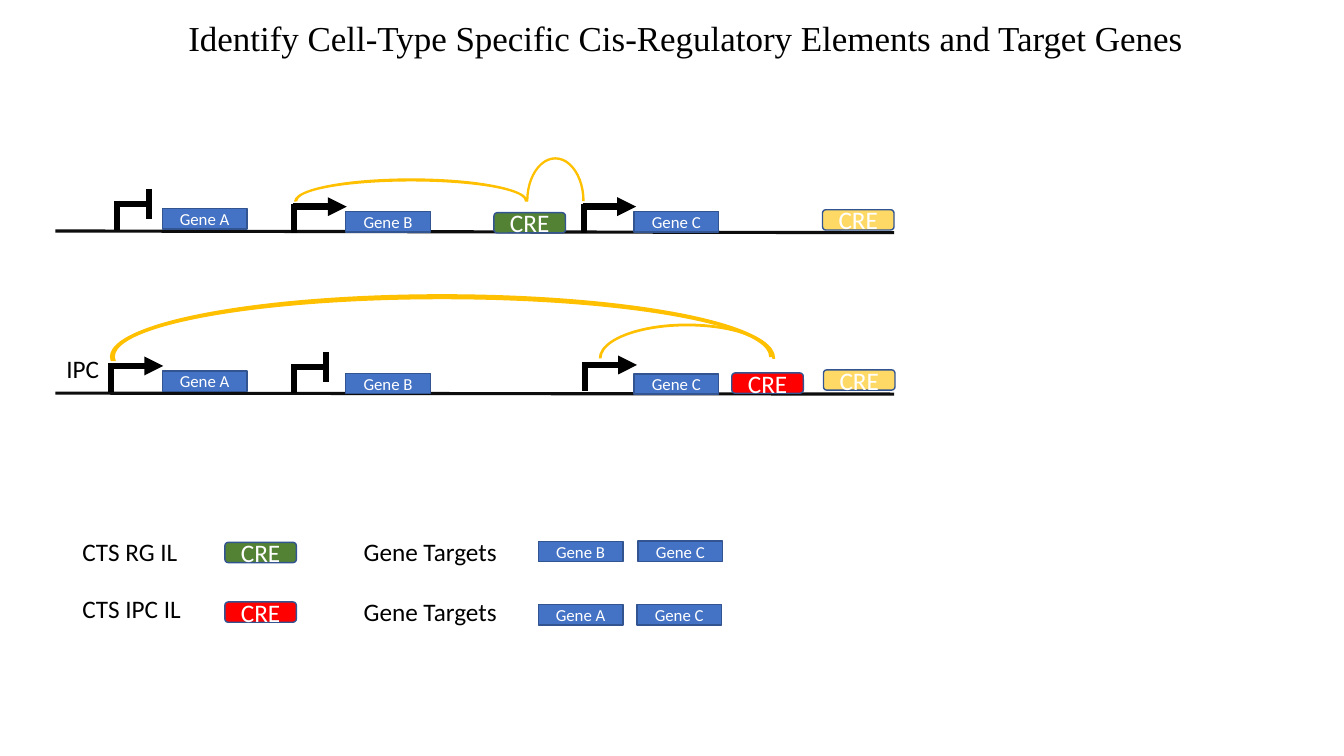
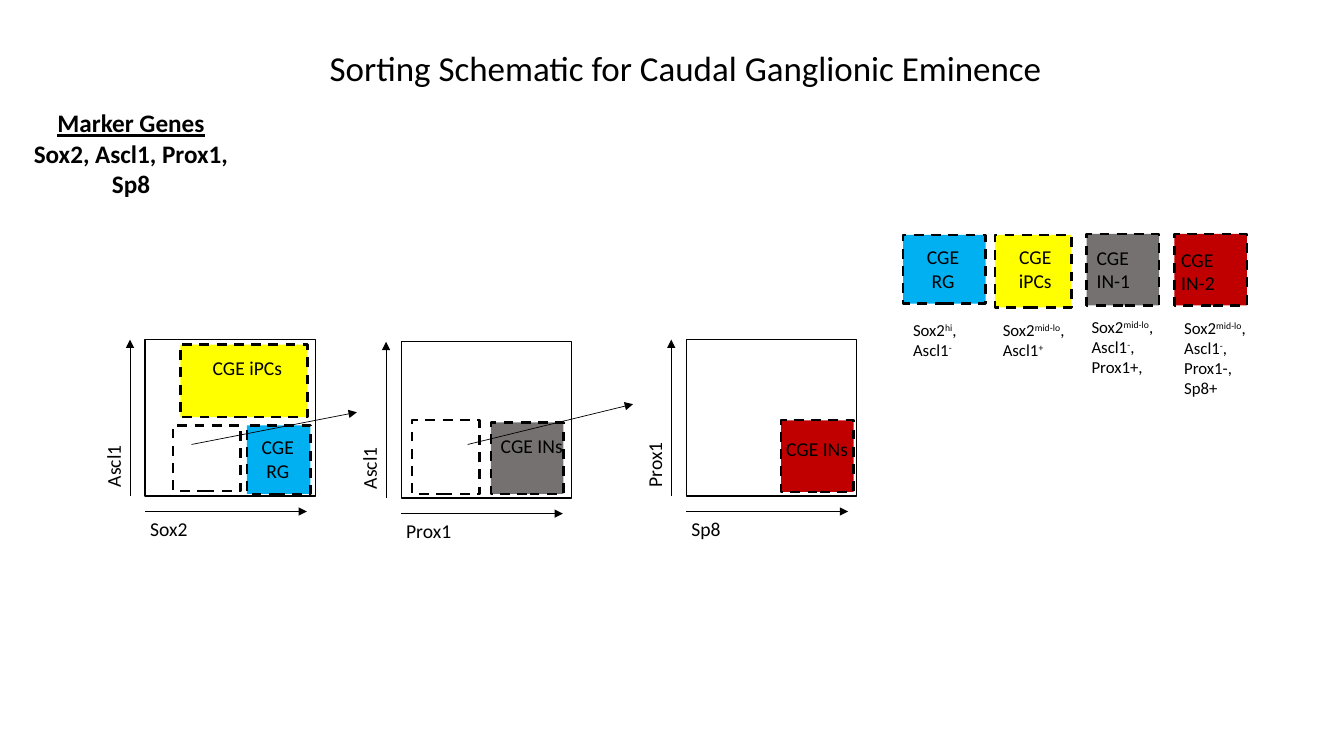
from lxml import etree
from pptx import Presentation
from pptx.dml.color import RGBColor
from pptx.enum import dml, shapes, text
from pptx.oxml.ns import qn
from pptx.util import Pt

COLORS = {
    "black": "000000", "strand": "0D0D0D", "white": "FFFFFF",
    "gene": "4472C4", "edge": "325491", "loop": "FFC000",
    "green": "548235", "bright red": "FF0000", "pale gold": "FFD966",
    "blue": "00B0F0", "yellow": "FFFF00", "grey": "767171", "dark red": "C00000",
}
RECT = shapes.MSO_SHAPE.RECTANGLE
ROUND = shapes.MSO_SHAPE.ROUNDED_RECTANGLE
CENTER, LEFT = text.PP_ALIGN.CENTER, text.PP_ALIGN.LEFT


def add_box(slide, at, words="", size=18, kind=None, fill=None, edge=None,
            weight=1, dash=False, ink="black", align=LEFT):
    """Add a shape, or a text box when kind is None; ^marks^ enclose superscripts."""
    place = [Pt(n) for n in at]
    if kind is None:
        box = slide.shapes.add_textbox(*place)
    else:
        box = slide.shapes.add_shape(kind, *place)
        box.shadow.inherit = False
        box.text_frame.vertical_anchor = text.MSO_ANCHOR.MIDDLE
        if fill:
            box.fill.solid()
            box.fill.fore_color.rgb = RGBColor.from_string(COLORS[fill])
        else:
            box.fill.background()
        if edge:
            box.line.color.rgb = RGBColor.from_string(COLORS[edge])
            box.line.width = Pt(weight)
            if dash:
                box.line.dash_style = dml.MSO_LINE.DASH
        else:
            box.line.fill.background()
    frame = box.text_frame
    frame.word_wrap = True
    for number, row in enumerate(words.split("\n") if words else []):
        paragraph = frame.add_paragraph() if number else frame.paragraphs[0]
        paragraph.alignment = align
        paragraph.font.name = "Calibri"
        paragraph.font.size = Pt(size)
        paragraph.font.color.rgb = RGBColor.from_string(COLORS[ink])
        for part, piece in enumerate(row.split("^")):
            if piece:
                run = paragraph.add_run()
                run.text = piece
                if part % 2:
                    run._r.get_or_add_rPr().set("baseline", "30000")
    return box


def add_line(slide, x1, y1, x2, y2, weight, color="black", arrow=False):
    line = slide.shapes.add_connector(
        shapes.MSO_CONNECTOR.STRAIGHT, Pt(x1), Pt(y1), Pt(x2), Pt(y2))
    line.line.color.rgb = RGBColor.from_string(COLORS[color])
    line.line.width = Pt(weight)
    if arrow:
        etree.SubElement(line.line._get_or_add_ln(), qn("a:tailEnd"), type="triangle")
    etree.SubElement(line._element.spPr, qn("a:effectLst"))


deck = Presentation()
deck.slide_width, deck.slide_height = Pt(960), Pt(540)

slides = []
for heading, top, face in [
    ("Identify Cell-Type Specific Cis-Regulatory Elements and Target Genes",
     7.9, "Times New Roman"),
    ("Sorting Schematic for Caudal Ganglionic Eminence", 29.5, "Calibri"),
]:
    slide = deck.slides.add_slide(deck.slide_layouts[5])
    title = slide.shapes.title
    title.left, title.top, title.width, title.height = Pt(43.9), Pt(top), Pt(891.4), Pt(37.4)
    title.text_frame.text = heading
    title.text_frame.auto_size = text.MSO_AUTO_SIZE.NONE
    title.text_frame.vertical_anchor = text.MSO_ANCHOR.TOP
    paragraph = title.text_frame.paragraphs[0]
    paragraph.alignment = CENTER
    paragraph.font.name = face
    paragraph.font.size = Pt(25)
    paragraph.font.color.rgb = RGBColor.from_string(COLORS["black"])
    slides.append(slide)
regulation, sorting = slides

# Regulation: strands, genes, elements and the loops between them
for y1, y2 in [(165, 166.2), (280.8, 281.5)]:
    add_line(regulation, 39.6, y1, 638.6, y2, 2.25, "strand")

for x, top, active in [
    (83.5, 143.3, False), (210.2, 145.4, True), (416.9, 145.4, True),
    (79.2, 259.2, True), (210.2, 259.9, False), (417.6, 258.5, True),
]:
    add_line(regulation, x, top, x, top + 21, 4.25)
    if active:
        add_line(regulation, x - 0.7, top + 2.2, x + 37.5, top + 2.2, 4.5, arrow=True)
    else:
        add_line(regulation, x - 1.4, top + 2.2, x + 23, top + 2.2, 4.25)
        add_line(regulation, x + 23, top - 8.3, x + 23, top + 12.8, 4.25)

for letter, x, y in [
    ("A", 115.9, 149), ("B", 247, 151.2), ("C", 452.9, 151.2),
    ("A", 115.9, 265), ("B", 247, 266.8), ("C", 452.9, 267.1),
    ("B", 384.5, 386.8), ("C", 455.8, 386.6),
    ("A", 384.5, 432), ("C", 455, 432),
]:
    add_box(regulation, (x, y, 60.5, 14.5), f"Gene {letter}", 12, RECT, "gene", "edge",
            ink="white", align=CENTER)

for color, x, y in [
    ("green", 352.8, 151.9), ("pale gold", 587.5, 149.8),
    ("bright red", 522.7, 266.4), ("pale gold", 588.2, 264.2),
    ("green", 160.6, 387.4), ("bright red", 160.6, 430),
]:
    add_box(regulation, (x, y, 51.1, 14.5), "CRE", 18, ROUND, color, "edge",
            ink="white", align=CENTER)

for at, adjustments in [
    ((210.2, 127.4, 167, 32.4), (107.85, 0.16, 0.07)),
    ((375.8, 112.3, 41.8, 62.6), (108, 0.22, 0.04)),
    ((78.5, 210.2, 474.5, 89.3), (107.54, 0.03, 0.04)),
    ((427.7, 231.1, 126, 49.7), (108, 0.22, 0.04)),
]:
    loop = add_box(regulation, at, kind=shapes.MSO_SHAPE.BLOCK_ARC, fill="loop")
    for index, value in enumerate(adjustments):
        loop.adjustments[index] = value

for words, x, y, width in [
    ("IPC", 40.3, 249.1, 44.6),
    ("CTS RG IL", 51.8, 379.4, 94.3), ("Gene Targets", 252.7, 379.4, 119.5),
    ("CTS IPC IL", 51.8, 420.5, 94.3), ("Gene Targets", 252.7, 422.6, 119.5),
]:
    add_box(regulation, (x, y, width, 29), words)

# Sorting: three plots with gates, then the key to the populations
markers = add_box(sorting, (14.4, 73.4, 158.4, 72.7),
                  "Marker Genes\nSox2, Ascl1, Prox1, Sp8", align=CENTER)
for paragraph in markers.text_frame.paragraphs:
    paragraph.font.bold = True
markers.text_frame.paragraphs[0].font.underline = True

PLOT_W, PLOT_H = 121.7, 111.6
for x, y, x_marker, y_marker in [
    (103.7, 242.6, "Sox2", "Ascl1"),
    (286.6, 244.1, "Prox1", "Ascl1"),
    (490.3, 242.6, "Sp8", "Prox1"),
]:
    x_axis = y + PLOT_H + 11.2
    add_box(sorting, (x, y, PLOT_W, PLOT_H), kind=RECT, edge="black")
    add_line(sorting, x - 10.8, y + PLOT_H, x - 10.8, y, 0.5, arrow=True)
    add_line(sorting, x, x_axis, x + 115.5, x_axis, 0.5, arrow=True)
    add_box(sorting, (x - 3.6, x_axis, 75.6, 24.5), x_marker, 14)
    y_label = add_box(sorting, (x - 60.5, y + 62.4, 75.6, 24.5), y_marker, 14)
    y_label.rotation = 270

for gate, color, label, label_at, align in [
    ((123.8, 303.8, 48.2, 46.8), None, "", None, None),
    ((294.5, 300.2, 48.2, 52.6), None, "", None, None),
    ((128.9, 246.2, 90.7, 51.8), "yellow", "CGE iPCs", (129.6, 250.6, 94.3, 41), CENTER),
    ((176.4, 303.8, 45.4, 49), "blue", "CGE\nRG", (175, 307.4, 46.8, 41), CENTER),
    ((350.6, 301.7, 51.8, 51.1), "grey", "CGE INs", (350.6, 306.7, 59, 24.5), LEFT),
    ((558, 300.2, 51.8, 51.1), "dark red", "CGE INs", (554.4, 308.9, 59, 24.5), LEFT),
    ((645.1, 167.8, 59, 49), "blue", "CGE\nRG", (643, 171.4, 61.2, 41), CENTER),
    ((710.6, 167.8, 54.7, 51.8), "yellow", "CGE iPCs", (711.4, 171.4, 56.2, 41), CENTER),
    ((776.2, 167, 51.8, 51.1), "grey", "CGE\nIN-1", (776.2, 172.1, 59, 41), LEFT),
    ((838.8, 167, 51.8, 51.1), "dark red", "CGE\nIN-2", (836.6, 173.5, 59, 41), LEFT),
]:
    add_box(sorting, gate, kind=RECT, fill=color, edge="black", weight=1.75, dash=True)
    if label:
        add_box(sorting, label_at, label, 14, align=align)

for ends in [(136.8, 317.5, 254.9, 294.5), (334.1, 317.5, 452.2, 288.7)]:
    add_line(sorting, *ends, 0.5, arrow=True)

for x, y, height, profile in [
    (645.1, 224.6, 36, "Sox2^hi^,\nAscl1^-^"),
    (709.2, 224.6, 36, "Sox2^mid-lo^,\nAscl1^+^"),
    (772.6, 222.5, 51.1, "Sox2^mid-lo^,\nAscl1^-^,\nProx1+,"),
    (838.8, 223.2, 65.5, "Sox2^mid-lo^,\nAscl1^-^,\nProx1-,\nSp8+"),
]:
    add_box(sorting, (x, y, 62.6, height), profile, 12)

deck.save("out.pptx")
